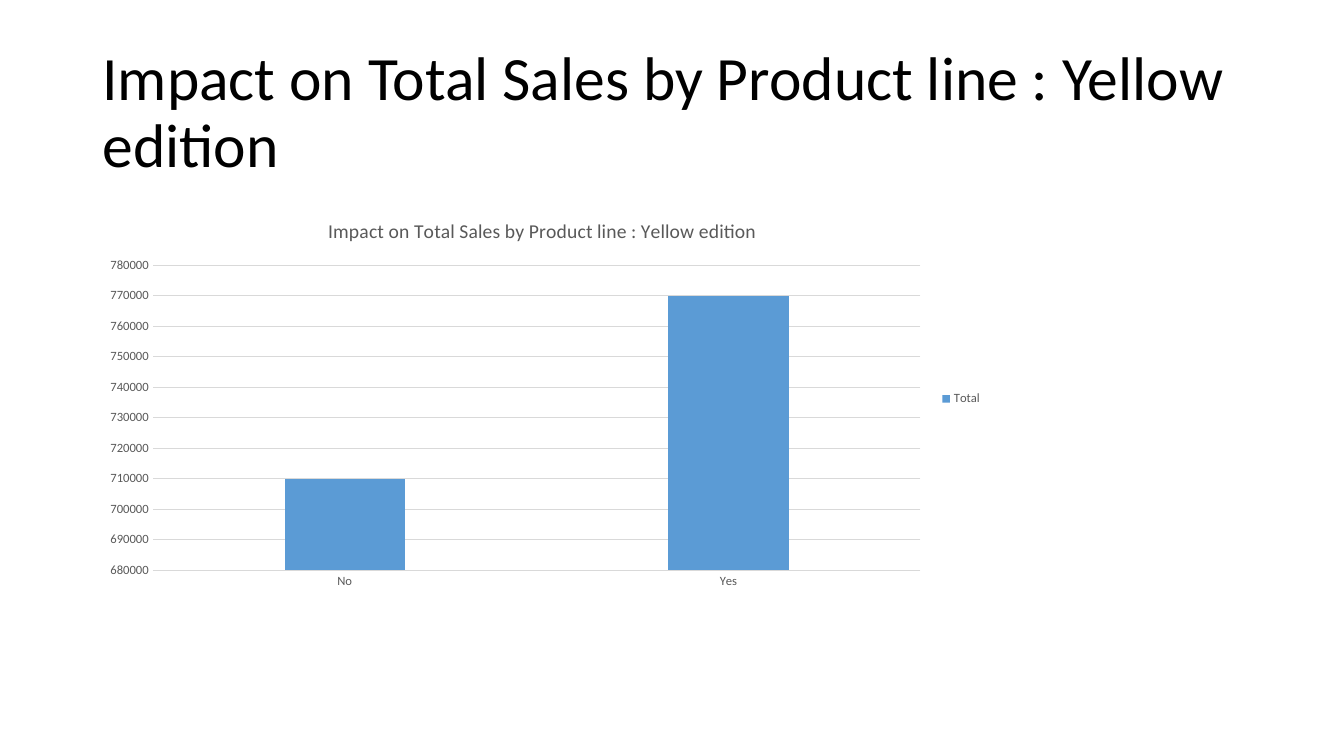
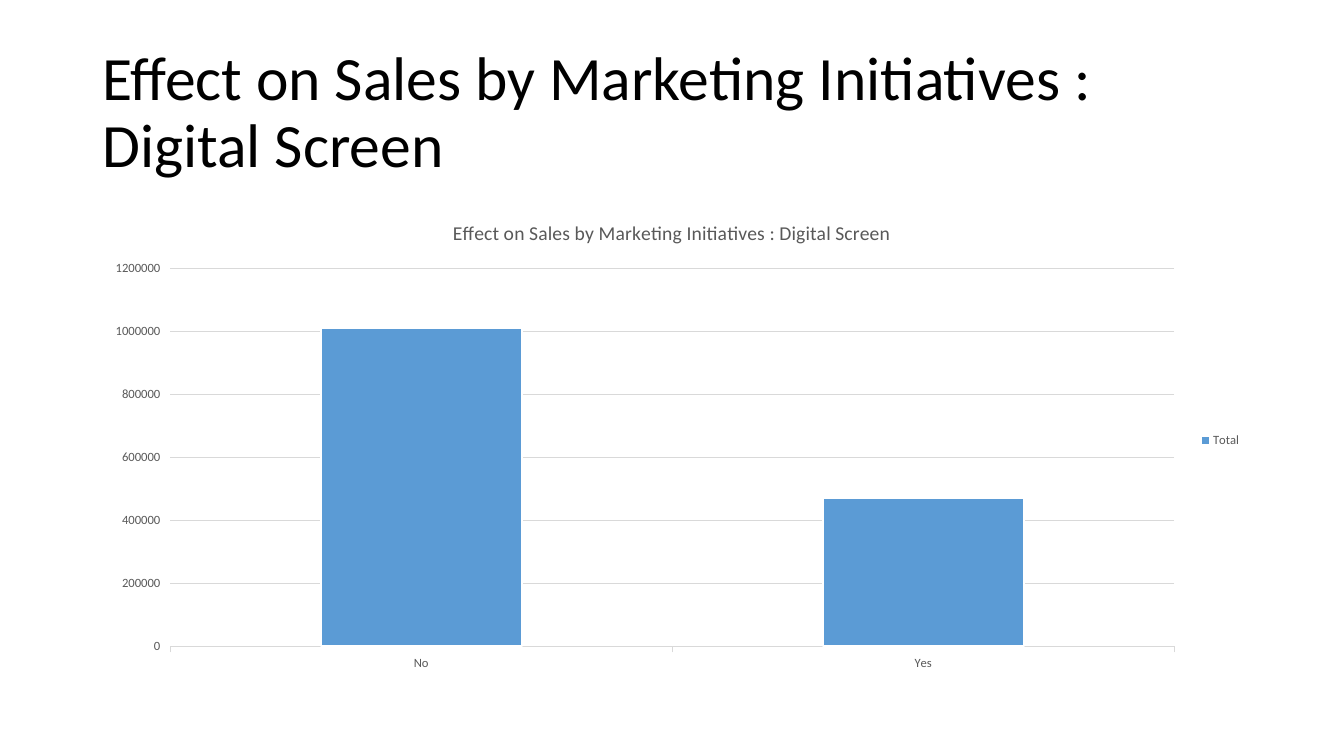
from dataclasses import dataclass

from pptx import Presentation
from pptx.chart.data import CategoryChartData
from pptx.dml.color import RGBColor
from pptx.enum.chart import XL_CHART_TYPE, XL_LEGEND_POSITION, XL_TICK_MARK
from pptx.enum.text import MSO_ANCHOR, MSO_AUTO_SIZE, PP_ALIGN
from pptx.util import Cm, Pt

COLUMN = XL_CHART_TYPE.COLUMN_CLUSTERED
RIGHT = XL_LEGEND_POSITION.RIGHT
NO_TICK, TICK_OUT = XL_TICK_MARK.NONE, XL_TICK_MARK.OUTSIDE
MIDDLE, LEFT = MSO_ANCHOR.MIDDLE, PP_ALIGN.LEFT
NO_FIT = MSO_AUTO_SIZE.NONE
TITLE_ONLY = 5


@dataclass(frozen=True)
class Theme:
    face: str = "Calibri"
    ink: str = "000000"
    label: str = "595959"
    grid: str = "D9D9D9"
    bar: str = "5B9BD5"
    edge: str = "FFFFFF"
    head_size: float = 44
    chart_size: float = 10
    name_size: float = 14
    label_size: float = 9
    rule: float = 0.75


def put(item, values):
    for name, value in values.items():
        setattr(item, name, value)


class Deck:
    def __init__(self, theme):
        self.theme = theme
        self.show = Presentation()
        put(self.show, {"slide_width": Cm(33.87), "slide_height": Cm(19.05)})
        self.slide = None

    def font(self, font, size, color):
        put(font, {"name": self.theme.face, "size": Pt(size), "bold": False})
        font.color.rgb = RGBColor.from_string(color)

    def line(self, line, color, width):
        line.color.rgb = RGBColor.from_string(color)
        line.width = Pt(width)

    # Slide with its title
    def page(self, text):
        self.slide = self.show.slides.add_slide(
            self.show.slide_layouts[TITLE_ONLY])
        title = self.slide.shapes.title
        put(title, {"left": Cm(2.33), "top": Cm(1.03),
                    "width": Cm(29.21), "height": Cm(3.68)})
        frame = title.text_frame
        put(frame, {"text": text, "word_wrap": True,
                    "auto_size": NO_FIT, "vertical_anchor": MIDDLE})
        para = frame.paragraphs[0]
        put(para, {"alignment": LEFT, "line_spacing": 0.9})
        self.font(para.runs[0].font, self.theme.head_size, self.theme.ink)

    # Column chart of the total for each answer
    def chart(self, text, totals, width, height, scale, tick, plot, edge):
        look = self.theme
        data = CategoryChartData()
        data.categories = list(totals)
        data.add_series("Total", list(totals.values()))
        chart = self.slide.shapes.add_chart(
            COLUMN, Cm(2.33), Cm(5.06), Cm(width), Cm(height), data).chart
        self.font(chart.font, look.chart_size, look.ink)

        # Chart title and legend
        name = chart.chart_title
        name.include_in_layout = False
        name.text_frame.text = text
        run = name.text_frame.paragraphs[0].runs[0]
        self.font(run.font, look.name_size, look.label)
        chart.has_legend = True
        put(chart.legend, {"position": RIGHT, "include_in_layout": False})
        self.font(chart.legend.font, look.label_size, look.label)

        # Axes
        cats, vals = chart.category_axis, chart.value_axis
        for axis in (cats, vals):
            put(axis, {"major_tick_mark": tick, "minor_tick_mark": NO_TICK})
            self.font(axis.tick_labels.font, look.label_size, look.label)
        self.line(cats.format.line, look.grid, look.rule)
        vals.format.line.fill.background()
        self.line(vals.major_gridlines.format.line, look.grid, look.rule)
        put(vals, scale)

        # Columns
        bars = chart.plots[0]
        put(bars, {"vary_by_categories": False, **plot})
        form = bars.series[0].format
        form.fill.solid()
        form.fill.fore_color.rgb = RGBColor.from_string(look.bar)
        if edge:
            self.line(form.line, look.edge, edge)
        else:
            form.line.fill.background()


deck = Deck(Theme())

# Yellow edition
head = "Impact on Total Sales by Product line : Yellow edition"
deck.page(head)
deck.chart(
    head, {"No": 710000, "Yes": 770000}, 22.68, 9.98,
    {"minimum_scale": 680000, "maximum_scale": 780000, "major_unit": 10000},
    NO_TICK, {"gap_width": 219, "overlap": -27}, 0)

# Digital screen
head = "Effect on Sales by Marketing Initiatives : Digital Screen"
deck.page(head)
deck.chart(
    head, {"No": 1010000, "Yes": 470000}, 29.21, 12.09,
    {"minimum_scale": 0, "maximum_scale": 1200000, "major_unit": 200000},
    TICK_OUT, {"gap_width": 150}, 1.5)

deck.show.save("out.pptx")
